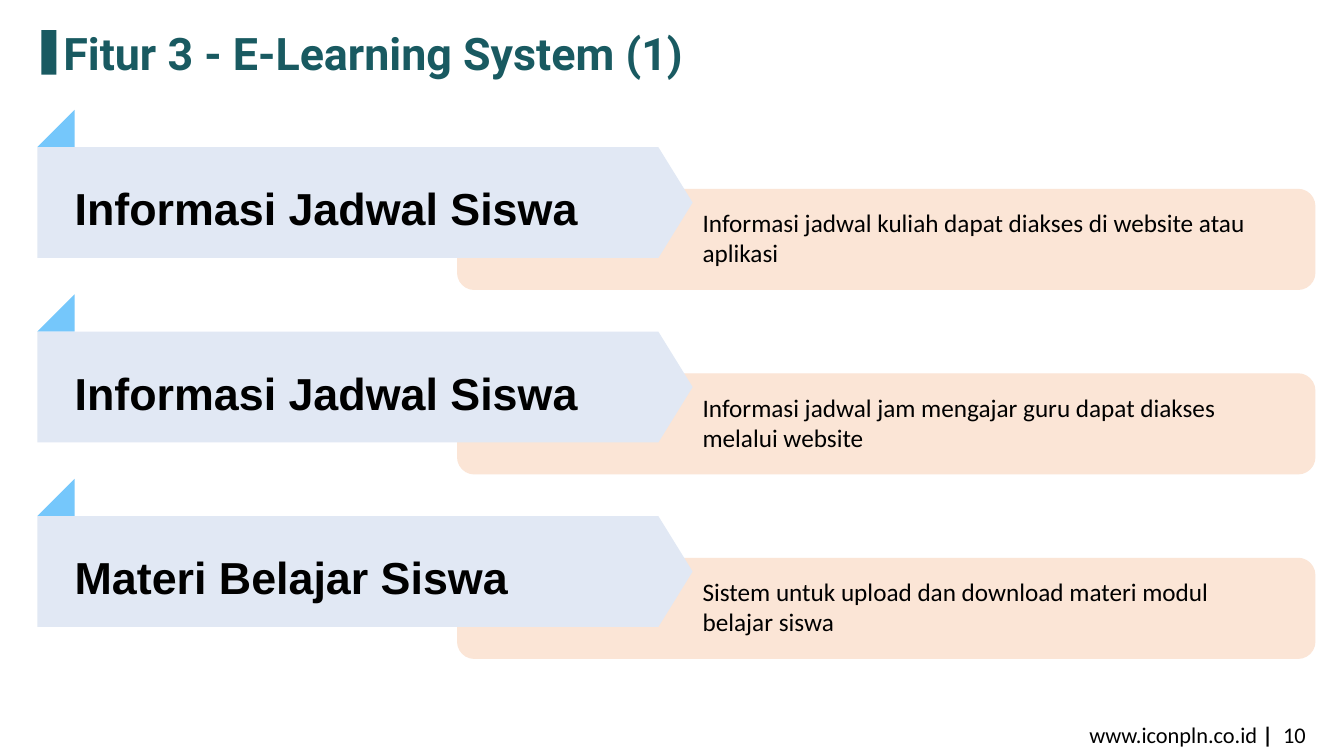
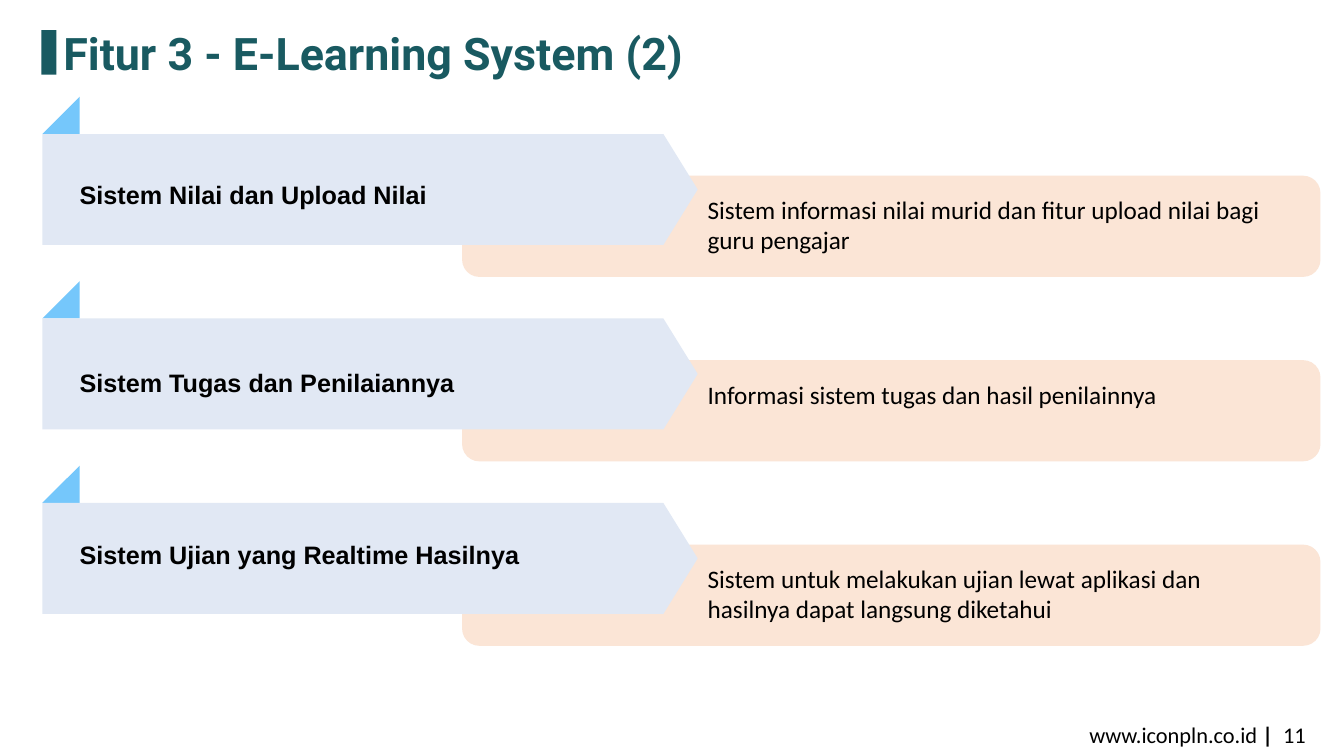
"""Build the two E-Learning System feature slides."""
import pptx
import pptx.dml.color
import pptx.enum.shapes
import pptx.enum.text
import pptx.util

Inches = pptx.util.Inches
Shapes = pptx.enum.shapes.MSO_SHAPE
RGBColor = pptx.dml.color.RGBColor

TEAL = RGBColor(0x19, 0x5A, 0x61)
PEACH = RGBColor(0xFB, 0xE5, 0xD6)
SKY = RGBColor(0x75, 0xC7, 0xFB)
PALE_BLUE = RGBColor(0xE1, 0xE8, 0xF4)
BLACK = RGBColor(0x00, 0x00, 0x00)

ROW_PITCH = 1.83
FOLD = 0.37
ARROW_WIDTH, ARROW_HEIGHT, ARROW_TIP = 6.5, 1.1, 0.34

SLIDES = [
    ("Fitur 3 - E-Learning System (1)", 10, 0.37, 1.46, 32, [
        ("Informasi Jadwal Siswa", 0.07,
         "Informasi jadwal kuliah dapat diakses di website atau aplikasi"),
        ("Informasi Jadwal Siswa", 0.07,
         "Informasi jadwal jam mengajar guru dapat diakses melalui website"),
        ("Materi Belajar Siswa", 0.07,
         "Sistem untuk upload dan download materi modul belajar siswa"),
    ]),
    ("Fitur 3 - E-Learning System (2)", 11, 0.42, 1.33, 18, [
        ("Sistem Nilai dan Upload Nilai", 0.3,
         "Sistem informasi nilai murid dan fitur upload nilai bagi guru pengajar"),
        ("Sistem Tugas dan Penilaiannya", 0.33,
         "Informasi sistem tugas dan hasil penilainnya"),
        ("Sistem Ujian yang Realtime Hasilnya", 0.21,
         "Sistem untuk melakukan ujian lewat aplikasi dan hasilnya dapat langsung diketahui"),
    ]),
]


def paint(shape, color):
    shape.shadow.inherit = False
    shape.fill.solid()
    shape.fill.fore_color.rgb = color
    shape.line.fill.background()
    return shape


def add_text(slide, box, text, font_name, size, color=BLACK, bold=False, spacing=1.0):
    frame = slide.shapes.add_textbox(*map(Inches, box)).text_frame
    frame.word_wrap = True
    frame.text = text
    paragraph = frame.paragraphs[0]
    paragraph.line_spacing = spacing
    for run in paragraph.runs:
        run.font.name = font_name
        run.font.size = pptx.util.Pt(size)
        run.font.bold = bold
        run.font.color.rgb = color
    return frame


deck = pptx.Presentation()
deck.slide_width, deck.slide_height = Inches(13.33), Inches(7.5)

for title, number, left, first_top, label_size, rows in SLIDES:
    slide = deck.slides.add_slide(deck.slide_layouts[6])
    paint(slide.shapes.add_shape(Shapes.RECTANGLE, Inches(0.41), Inches(0.3),
                                 Inches(0.15), Inches(0.44)), TEAL)
    add_text(slide, (0.53, 0.27, 6.79, 0.58), title, "Roboto", 32, TEAL, True, 0.9)

    footer = add_text(slide, (10.05, 7.09, 3, 0.4), "www.iconpln.co.id ", "Calibri", 16)
    footer.vertical_anchor = pptx.enum.text.MSO_ANCHOR.MIDDLE
    footer_line = footer.paragraphs[0]
    footer_line.alignment = pptx.enum.text.PP_ALIGN.RIGHT
    for part, bold in (("|  ", True), (str(number), False)):
        run = footer_line.add_run()
        run.text = part
        run.font.name = "Calibri"
        run.font.size = pptx.util.Pt(16)
        run.font.bold = bold
        run.font.color.rgb = BLACK

    for index, (label, label_drop, description) in enumerate(rows):
        top = first_top + index * ROW_PITCH
        card = paint(slide.shapes.add_shape(
            Shapes.ROUNDED_RECTANGLE, Inches(left + 4.17), Inches(top + 0.42),
            Inches(8.5), Inches(0.99)), PEACH)
        card.line.color.rgb = PEACH
        card.line.width = pptx.util.Pt(1)

        outline = slide.shapes.build_freeform(
            Inches(left + FOLD), Inches(top), scale=1.0)
        outline.add_line_segments([(Inches(left), Inches(top)),
                                   (Inches(left + FOLD), Inches(top - FOLD))])
        paint(outline.convert_to_shape(), SKY)

        arrow = paint(slide.shapes.add_shape(
            Shapes.PENTAGON, Inches(left), Inches(top),
            Inches(ARROW_WIDTH), Inches(ARROW_HEIGHT)), PALE_BLUE)
        arrow.adjustments[0] = ARROW_TIP / ARROW_HEIGHT

        label_frame = add_text(
            slide, (left + FOLD, top + label_drop, 5.56, label_size / 45),
            label, "Arial", label_size, bold=True, spacing=1.5)
        label_frame.margin_left = label_frame.margin_right = 0
        label_frame.margin_top = label_frame.margin_bottom = 0
        add_text(slide, (left + ARROW_WIDTH, top + 0.55, 5.92, 0.71),
                 description, "Calibri", 18)

deck.save("out.pptx")
